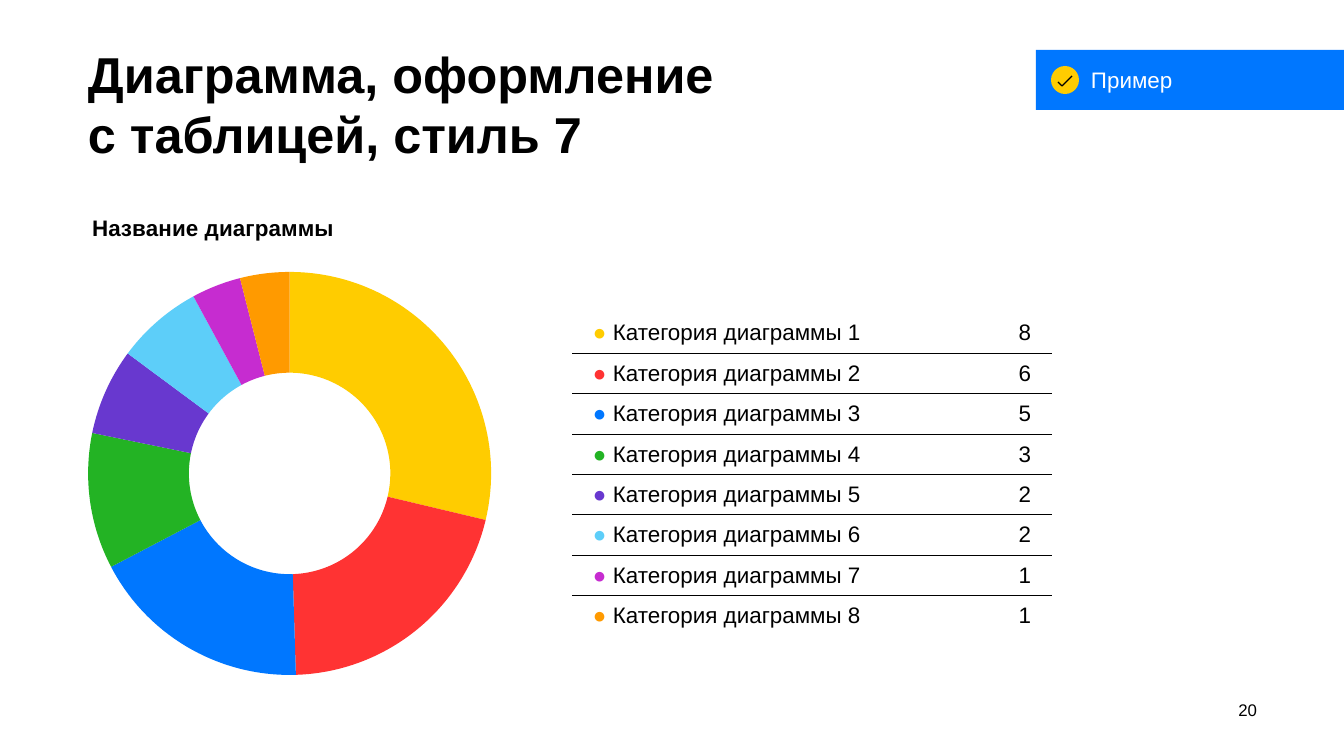
from dataclasses import dataclass

from lxml import etree
from pptx import Presentation
from pptx import util as u
from pptx.chart import data as chart_data
from pptx.dml import color
from pptx.enum import chart as charts
from pptx.enum import shapes, text
from pptx.oxml import ns, parse_xml

SCALE = 914400 / 50.4


@dataclass(frozen=True)
class Theme:
    font: str = "Arial"
    black: str = "000000"
    white: str = "FFFFFF"
    blue: str = "0077FF"
    yellow: str = "FFCC00"
    slices: tuple = ("FFCC00", "FF3333", "0077FF", "23B324",
                     "6838CF", "5DCEF9", "C62CD0", "FF9A00")
    title: int = 72
    body: int = 32
    small: int = 24


THEME = Theme()
COUNTS = (8, 6, 5, 3, 2, 2, 1, 1)
SHARES = (29, 21, 18, 11, 7, 7, 4, 4)


def px(value):
    return u.Emu(round(value * SCALE))


def rgb(value):
    return color.RGBColor.from_string(value)


def style_font(font, size, ink, bold):
    font.name = THEME.font
    font.size = u.Pt(size)
    font.bold = bold
    font.color.rgb = rgb(ink)


def write(para, content, size=THEME.body, ink=THEME.black, bold=False,
          align=text.PP_ALIGN.LEFT, leading=None):
    para.alignment = align
    if leading:
        para.line_spacing = u.Pt(leading)
    for index, line in enumerate(content.split("\n")):
        if index:
            para.add_line_break()
        span = para.add_run()
        span.text = line
        style_font(span.font, size, ink, bold)


def set_margins(holder, left, top, right, bottom):
    holder.margin_left, holder.margin_top = px(left), px(top)
    holder.margin_right, holder.margin_bottom = px(right), px(bottom)


def add_text(page, area, content, top=0, anchor=text.MSO_ANCHOR.TOP, **style):
    box = page.shapes.add_textbox(*map(px, area))
    frame = box.text_frame
    frame.word_wrap = True
    frame.vertical_anchor = anchor
    set_margins(frame, 0, top, 0, 0)
    write(frame.paragraphs[0], content, **style)


def add_filled(group, kind, area, fill):
    shape = group.shapes.add_shape(kind, *map(px, area))
    shape.shadow.inherit = False
    shape.fill.solid()
    shape.fill.fore_color.rgb = rgb(fill)
    shape.line.fill.background()
    return shape


def add_line(group, ends):
    line = group.shapes.add_connector(shapes.MSO_CONNECTOR.STRAIGHT, *map(px, ends))
    line.line.color.rgb = rgb(THEME.black)
    line.line.width = u.Pt(1.75)
    etree.SubElement(line._element.spPr, ns.qn("a:effectLst"))


def add_badge(page):
    group = page.shapes.add_group_shape()
    banner = add_filled(group, shapes.MSO_SHAPE.RECTANGLE, (1036, 50, 308, 60), THEME.blue)
    frame = banner.text_frame
    frame.vertical_anchor = text.MSO_ANCHOR.MIDDLE
    set_margins(frame, 55, 12, 5, 12)
    write(frame.paragraphs[0], "Пример", ink=THEME.white)
    add_filled(group, shapes.MSO_SHAPE.OVAL, (1051, 66, 28, 28), THEME.yellow)
    add_line(group, (1058, 82, 1062, 86))
    add_line(group, (1062, 86, 1072, 76))


def set_layout(element, position, **values):
    for old in element.findall(ns.qn("c:layout")):
        element.remove(old)
    modes = "".join(f'<c:{key}Mode val="edge"/>' for key in ("x", "y"))
    sizes = "".join(f'<c:{key} val="{value}"/>' for key, value in values.items())
    target = '<c:layoutTarget val="inner"/>' if "w" in values else ""
    element.insert(position, parse_xml(
        f'<c:layout {ns.nsdecls("c")}><c:manualLayout>{target}{modes}{sizes}'
        '</c:manualLayout></c:layout>'))


def add_doughnut(page, area):
    data = chart_data.CategoryChartData()
    data.categories = [str(number) for number in range(1, len(SHARES) + 1)]
    data.add_series("Series 1", SHARES)
    chart = page.shapes.add_chart(
        charts.XL_CHART_TYPE.DOUGHNUT, *map(px, area), data).chart
    style_font(chart.font, 10, THEME.black, False)
    chart.has_legend = False
    chart.has_title = True
    write(chart.chart_title.text_frame.paragraphs[0], "Название диаграммы", bold=True)
    set_layout(chart.chart_title._element, 1, x=0, y=0.04)
    plot = chart.plots[0]
    plot.has_data_labels = False
    plot.vary_by_categories = True
    plot._element.find(ns.qn("c:holeSize")).set("val", "65")
    set_layout(plot._element.getparent(), 0, x=0, y=0.169, w=0.715, h=0.831)
    for index, tint in enumerate(THEME.slices):
        look = plot.series[0].points[index].format
        look.fill.solid()
        look.fill.fore_color.rgb = rgb(tint)
        look.line.fill.background()


def set_borders(cell, visible):
    properties = cell._tc.get_or_add_tcPr()
    for position, side in enumerate("LRTB"):
        paint = "<a:noFill/>"
        if side in visible:
            paint = f'<a:solidFill><a:srgbClr val="{THEME.black}"/></a:solidFill>'
        properties.insert(position, parse_xml(
            f'<a:ln{side} {ns.nsdecls("a")} w="12700">{paint}</a:ln{side}>'))


def add_legend_table(page, area, widths):
    rows = len(COUNTS)
    table = page.shapes.add_table(rows, len(widths), *map(px, area)).table
    table.first_row = table.horz_banding = False
    for column, width in zip(table.columns, widths):
        column.width = px(width)
    for index, (count, tint) in enumerate(zip(COUNTS, THEME.slices)):
        table.rows[index].height = px(area[3] / rows)
        label, value = table.rows[index].cells
        for cell in (label, value):
            cell.fill.background()
            cell.vertical_anchor = text.MSO_ANCHOR.MIDDLE
            set_margins(cell, 21, 6, 21, 6)
            set_borders(cell, ("T" if index else "") + ("B" if index < rows - 1 else ""))
        para = label.text_frame.paragraphs[0]
        write(para, "● ", ink=tint)
        write(para, f"Категория диаграммы {index + 1}")
        write(value.text_frame.paragraphs[0], str(count), align=text.PP_ALIGN.RIGHT)


def main():
    deck = Presentation()
    deck.slide_width, deck.slide_height = px(1344), px(756)
    page = deck.slides.add_slide(deck.slide_layouts[6])
    add_text(page, (1197, 696, 60, 24), "20", top=4, size=THEME.small,
             anchor=text.MSO_ANCHOR.MIDDLE, align=text.PP_ALIGN.RIGHT)
    add_text(page, (88, 30, 1170, 80), "Диаграмма, оформление\nс таблицей, стиль 7",
             top=13, size=THEME.title, bold=True, leading=86)
    add_doughnut(page, (88, 190, 564, 485))
    add_legend_table(page, (572, 313, 480, 323), (395, 85))
    add_badge(page)
    deck.save("out.pptx")


if __name__ == "__main__":
    main()
